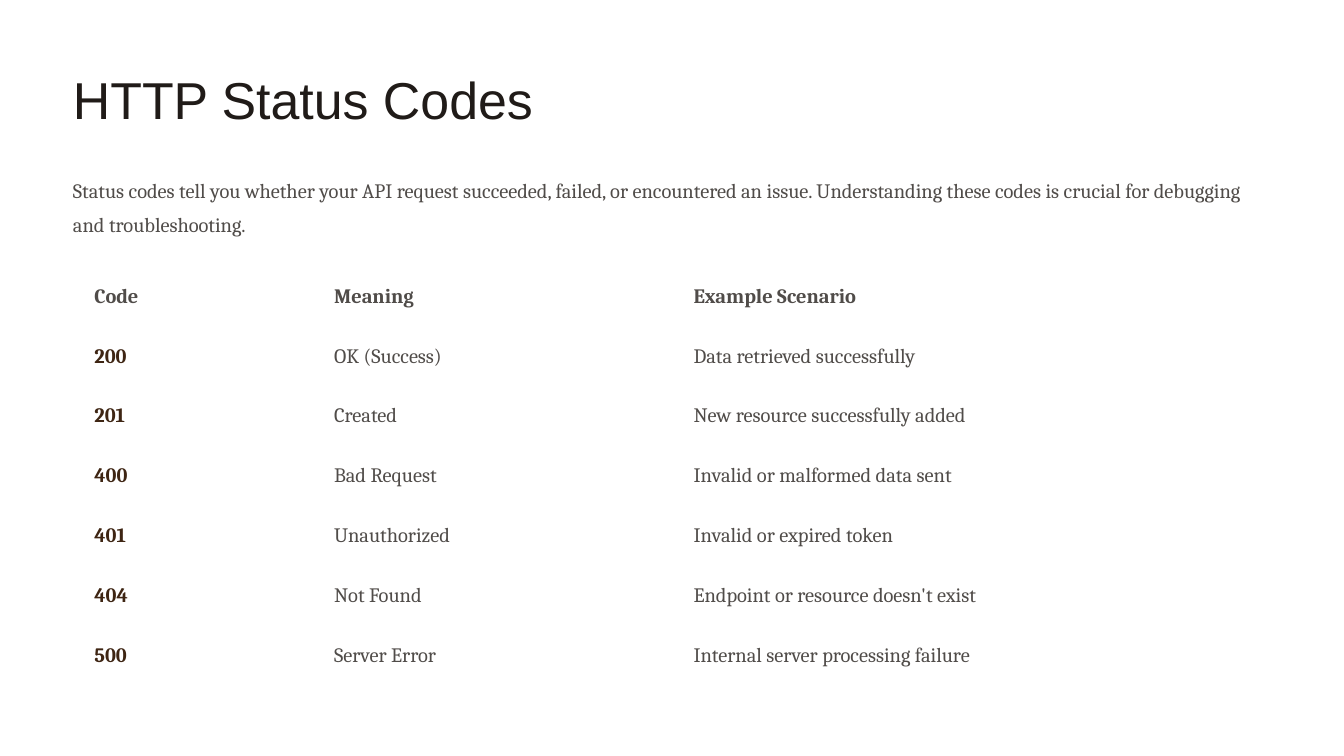
from pptx import Presentation
from pptx.dml.color import RGBColor
from pptx.enum.shapes import MSO_SHAPE
from pptx.util import Cm, Pt

HEADING_FONT, BODY_FONT = "Arial", "Cambria"
WHITE, INK, GREY, BROWN = "FFFFFF", "201B18", "504C49", "3E2513"
SLIDE_WIDTH, SLIDE_HEIGHT = 50.8, 28.58
LEFT, CONTENT_WIDTH = 2.76, 45.29

STATUS_ROWS = [
    ("Code", "Meaning", "Example Scenario"),
    ("200", "OK (Success)", "Data retrieved successfully"),
    ("201", "Created", "New resource successfully added"),
    ("400", "Bad Request", "Invalid or malformed data sent"),
    ("401", "Unauthorized", "Invalid or expired token"),
    ("404", "Not Found", "Endpoint or resource doesn't exist"),
    ("500", "Server Error", "Internal server processing failure"),
]
COLUMN_SHARES = (0.2, 0.3, 0.5)


def color(hex_value):
    return RGBColor.from_string(hex_value)


def write_text(text_frame, text, hex_value=GREY, font=BODY_FONT, size=21.85,
               line_spacing=35.6, bold=False):
    paragraph = text_frame.paragraphs[0]
    paragraph.line_spacing = Pt(line_spacing)
    run = paragraph.add_run()
    run.text = text
    run.font.name = font
    run.font.size = Pt(size)
    run.font.bold = bold
    run.font.color.rgb = color(hex_value)


def add_text(slide, left, top, width, height, text, **style):
    text_box = slide.shapes.add_textbox(Cm(left), Cm(top), Cm(width), Cm(height))
    text_frame = text_box.text_frame
    text_frame.word_wrap = True
    text_frame.margin_left = text_frame.margin_right = 0
    text_frame.margin_top = text_frame.margin_bottom = 0
    write_text(text_frame, text, **style)


def add_panel(slide, left, top, width, height):
    panel = slide.shapes.add_shape(MSO_SHAPE.RECTANGLE, Cm(left), Cm(top),
                                   Cm(width), Cm(height))
    panel.shadow.inherit = False
    panel.fill.solid()
    panel.fill.fore_color.rgb = color(WHITE)
    panel.line.fill.background()


def add_header(slide, left, top, width):
    # Title, then the introduction below it
    add_text(slide, left, top, 28.85, 2.29, "HTTP Status Codes", hex_value=INK,
             font=HEADING_FONT, size=55.6, line_spacing=69.4)
    add_text(slide, left, top + 3.96, width, 2.77,
             "Status codes tell you whether your API request succeeded, failed, "
             "or encountered an issue. Understanding these codes is crucial for "
             "debugging and troubleshooting.")


def add_status_table(slide, left, top, width, height):
    table = slide.shapes.add_table(len(STATUS_ROWS), len(COLUMN_SHARES), Cm(left),
                                   Cm(top), Cm(width), Cm(height)).table
    table.first_row = True
    table.horz_banding = False
    for column, share in zip(table.columns, COLUMN_SHARES):
        column.width = Cm(width * share)

    for row_index, texts in enumerate(STATUS_ROWS):
        for column_index, text in enumerate(texts):
            cell = table.cell(row_index, column_index)
            cell.fill.solid()
            cell.fill.fore_color.rgb = color(WHITE)
            cell.margin_left = cell.margin_right = Cm(0.81)
            cell.margin_top = cell.margin_bottom = Cm(0.38)
            # Header cells and status codes are bold, codes are brown
            is_header = row_index == 0
            is_code = column_index == 0 and not is_header
            write_text(cell.text_frame, text, hex_value=BROWN if is_code else GREY,
                       bold=is_header or is_code)


def main():
    presentation = Presentation()
    presentation.slide_width = Cm(SLIDE_WIDTH)
    presentation.slide_height = Cm(SLIDE_HEIGHT)
    slide = presentation.slides.add_slide(presentation.slide_layouts[6])

    add_panel(slide, 0, 0, SLIDE_WIDTH, SLIDE_HEIGHT)
    add_header(slide, LEFT, 2.46, CONTENT_WIDTH)
    add_status_table(slide, LEFT, 10.03, CONTENT_WIDTH, 15.82)
    presentation.save("out.pptx")


if __name__ == "__main__":
    main()
